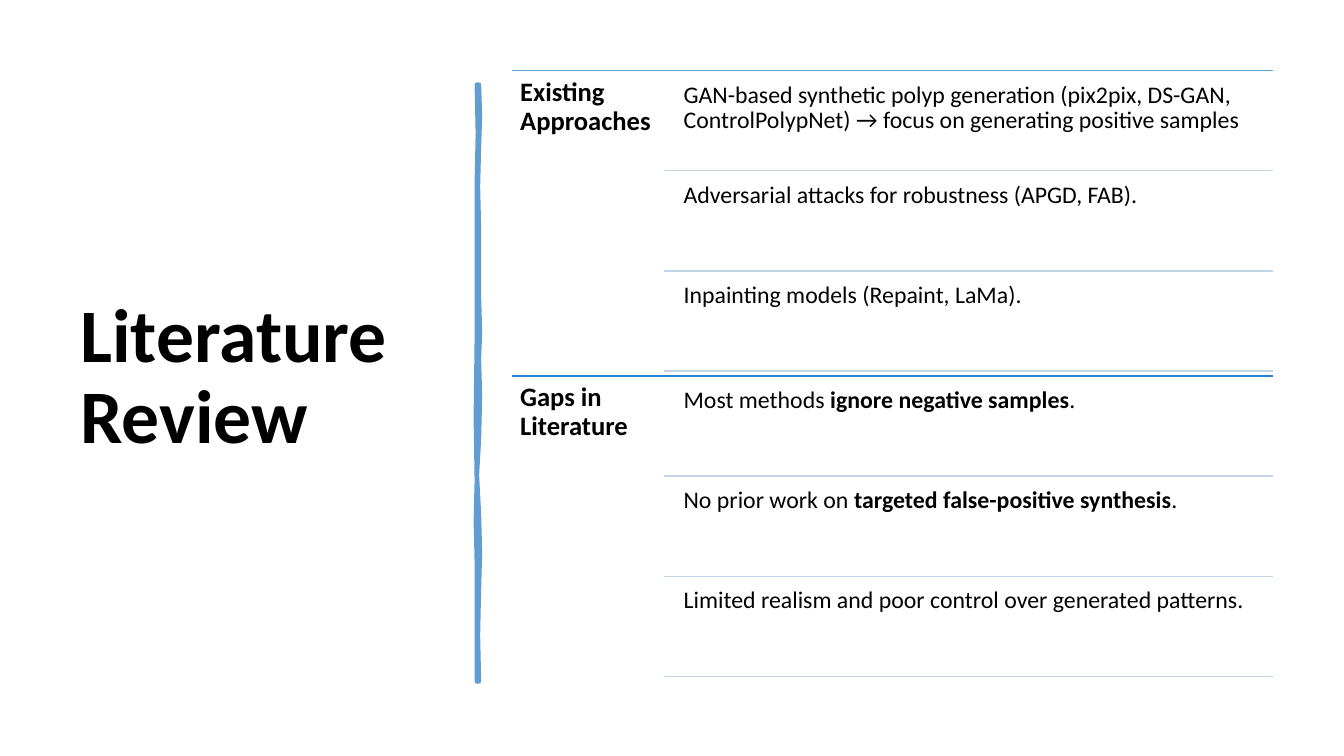
from dataclasses import dataclass

from lxml import etree
from pptx import Presentation
from pptx import util as u
from pptx.dml.color import RGBColor
from pptx.enum import shapes, text
from pptx.oxml.ns import qn

FONT = "Calibri"
BLACK, BAR_BLUE, DEEP_BLUE, PALE_BLUE = "000000", "629DD1", "297FD5", "C5D5E9"

# Grid, in inches: section column, rule start, topic column, right edge
SECTION_X, RULE_X, TOPIC_X, RIGHT_X = 5.08, 6.59, 6.71, 12.63
TOP_Y, SECTION_H = 0.7, 3.03
TOPIC_GAP = 0.05
TOPIC_ROW = (SECTION_H - TOPIC_GAP) / 3


@dataclass
class Run:
    words: str
    bold: bool = False


@dataclass
class Section:
    heading: str
    rule_color: str
    topics: list[list[Run]]


SECTIONS = [
    Section("Existing Approaches", BAR_BLUE, [
        [Run("GAN-based synthetic polyp generation (pix2pix, DS-GAN, "
             "ControlPolypNet) → focus on generating positive samples")],
        [Run("Adversarial attacks for robustness (APGD, FAB).")],
        [Run("Inpainting models (Repaint, LaMa).")],
    ]),
    Section("Gaps in Literature", DEEP_BLUE, [
        [Run("Most methods "), Run("ignore negative samples", True), Run(".")],
        [Run("No prior work on "), Run("targeted false-positive synthesis", True), Run(".")],
        [Run("Limited realism and poor control over generated patterns.")],
    ]),
]

# Hand-drawn bar: down its right edge, then up its left edge
BAR_OUTLINE = [
    (4.75, 0.84), (4.76, 1.15), (4.75, 1.46), (4.74, 1.85), (4.75, 2.26),
    (4.75, 2.94), (4.76, 3.3), (4.75, 3.56), (4.76, 3.93), (4.75, 4.36),
    (4.73, 4.71), (4.75, 5.1), (4.76, 5.49), (4.75, 5.84), (4.74, 6.3),
    (4.75, 6.76), (4.73, 6.76), (4.73, 6.13), (4.73, 5.57), (4.72, 5.17),
    (4.73, 4.77), (4.72, 4.15), (4.73, 3.35), (4.73, 2.5), (4.73, 1.81),
    (4.74, 1.33), (4.73, 0.84),
]


def rgb(color: str) -> RGBColor:
    return RGBColor.from_string(color)


def add_text(s, x: float, y: float, w: float, h: float, runs: list[Run], size: float,
             inset: tuple[float, float], anchor=text.MSO_ANCHOR.TOP) -> None:
    tf = s.shapes.add_textbox(*map(u.Inches, (x, y, w, h))).text_frame
    tf.word_wrap = True
    tf.vertical_anchor = anchor
    tf.margin_left = tf.margin_right = u.Inches(inset[0])
    tf.margin_top = tf.margin_bottom = u.Inches(inset[1])
    p = tf.paragraphs[0]
    p.line_spacing = 0.9
    for run in runs:
        r = p.add_run()
        r.text = run.words
        r.font.name, r.font.size, r.font.bold = FONT, u.Pt(size), run.bold
        r.font.color.rgb = rgb(BLACK)


def add_rule(s, x: float, y: float, color: str) -> None:
    rule = s.shapes.add_connector(shapes.MSO_CONNECTOR.STRAIGHT,
                                  *map(u.Inches, (x, y, RIGHT_X, y)))
    rule.line.color.rgb = rgb(color)
    rule.line.width = u.Pt(1)
    etree.SubElement(rule.element.spPr, qn("a:effectLst"))


def add_bar(s) -> None:
    start, *points = [(u.Inches(x), u.Inches(y)) for x, y in BAR_OUTLINE]
    builder = s.shapes.build_freeform(*start)
    builder.add_line_segments(points, close=True)
    bar = builder.convert_to_shape()
    bar.shadow.inherit = False
    bar.fill.solid()
    bar.fill.fore_color.rgb = rgb(BAR_BLUE)
    bar.line.color.rgb = rgb(BAR_BLUE)
    bar.line.width = u.Pt(3.25)


def add_section(s, section: Section, y: float) -> None:
    add_rule(s, SECTION_X, y, section.rule_color)
    add_text(s, SECTION_X, y, RULE_X - SECTION_X, SECTION_H,
             [Run(section.heading, True)], 19, (0.08, 0.08))
    for i, runs in enumerate(section.topics):
        row_y = y + i * TOPIC_ROW
        add_text(s, TOPIC_X, row_y + TOPIC_GAP, RIGHT_X - TOPIC_X,
                 TOPIC_ROW - TOPIC_GAP, runs, 17, (0.07, 0.07))
        add_rule(s, RULE_X, row_y + TOPIC_ROW, PALE_BLUE)


def main() -> None:
    prs = Presentation()
    prs.slide_width, prs.slide_height = u.Inches(13.33), u.Inches(7.5)
    s = prs.slides.add_slide(prs.slide_layouts[6])

    # Title and dividing bar
    add_text(s, 0.7, TOP_Y, 3.74, 6.11, [Run("Literature Review", True)], 54,
             (0.1, 0.05), text.MSO_ANCHOR.MIDDLE)
    add_bar(s)

    # Sections with their topics
    for i, section in enumerate(SECTIONS):
        add_section(s, section, TOP_Y + i * SECTION_H)

    prs.save("out.pptx")


if __name__ == "__main__":
    main()
